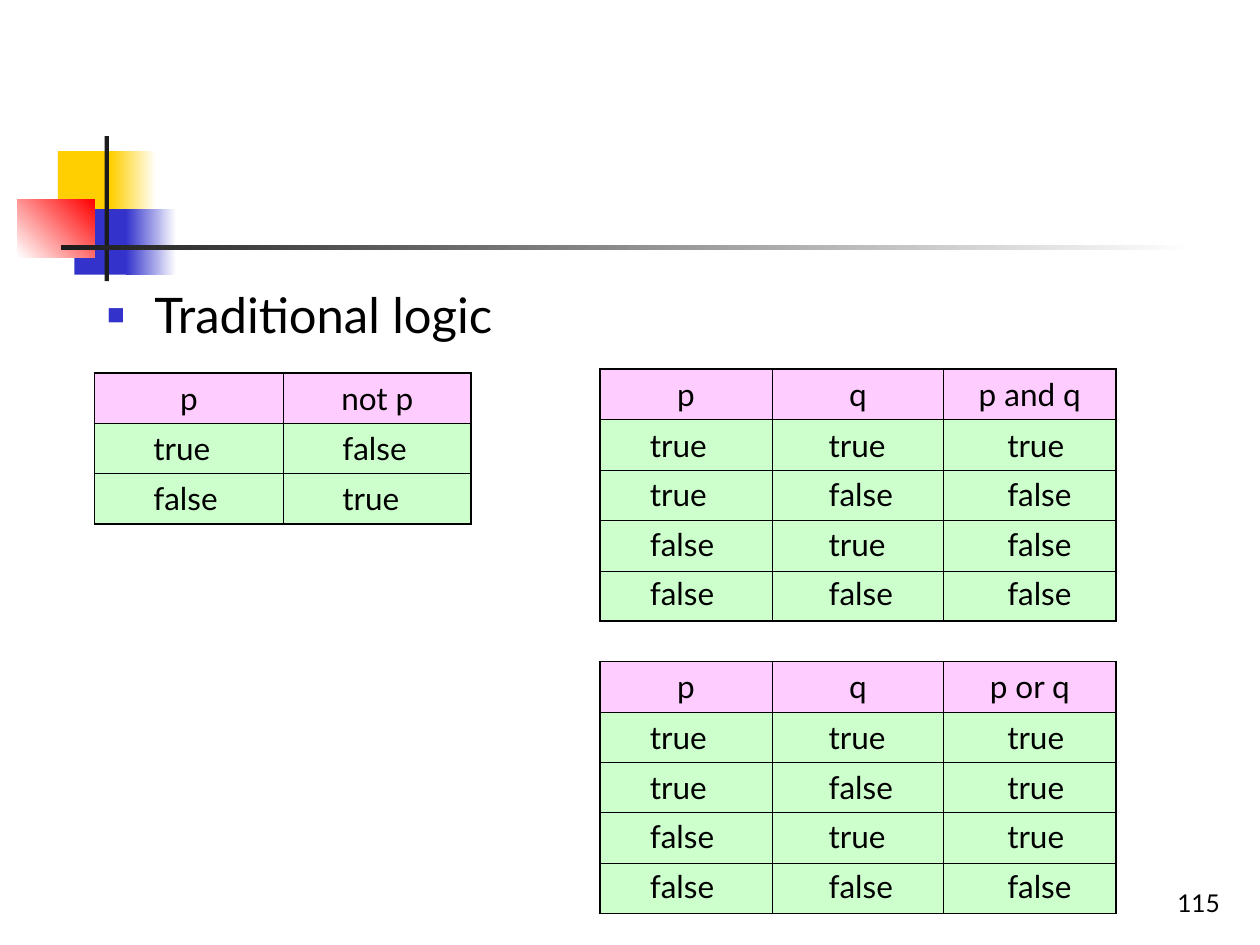
from lxml.etree import SubElement
from pptx import Presentation
from pptx.dml.color import RGBColor
from pptx.enum.shapes import MSO_SHAPE
from pptx.enum.text import MSO_ANCHOR, MSO_AUTO_SIZE, PP_ALIGN
from pptx.oxml.ns import qn
from pptx.util import Pt

HUES = {
    "black": "000000", "white": "FFFFFF", "gold": "FFCF01", "blue": "3333CC",
    "red": "FF0000", "dark": "1C1C1C", "pink": "FFCCFF", "green": "CCFFCC",
}
FONT = "Lato"
THICK, THIN = 1.08, 0.45
ROW, STEP = 28.8, 28.3

TOPIC = "Traditional logic"
PAGE = "115"
BLOCKS = [
    (33.1, 86.4, 34.6, 37.4, ("gold",), 0),
    (63.4, 86.4, 25.9, 37.4, ("gold", "white"), 0),
    (42.5, 119.5, 33.1, 37.4, ("blue",), 0),
    (72, 119.5, 28.8, 37.4, ("blue", "white"), 0),
    (10.1, 113.8, 43.9, 33.1, ("white", "red"), 45),
    (59.8, 77.8, 2.5, 82.8, ("dark",), 0),
    (34.6, 140.2, 648, 2.5, ("dark", "white"), 0),
]
TABLES = [
    {"left": 54, "top": 213.1, "cols": [108, 107.3], "inset": 26.6, "pitch": 108,
     "head": ["p", "not p"],
     "rows": [["true", "false"], ["false", "true"]]},
    {"left": 342.7, "top": 211, "cols": [98.6, 97.9, 98.6], "inset": 21.6, "pitch": 102.1,
     "head": ["p", "q", "p and q"],
     "rows": [["true", "true", "true"], ["true", "false", "false"],
              ["false", "true", "false"], ["false", "false", "false"]]},
    {"left": 342.7, "top": 378, "cols": [98.6, 97.9, 98.6], "inset": 21.6, "pitch": 102.1,
     "head": ["p", "q", "p or q"],
     "rows": [["true", "true", "true"], ["true", "false", "true"],
              ["false", "true", "true"], ["false", "false", "false"]]},
]


def hue(name):
    """Return the named colour."""
    return RGBColor.from_string(HUES[name])


def put(frame, text, size=18, align=PP_ALIGN.LEFT):
    """Write one formatted paragraph into a text frame."""
    para = frame.paragraphs[0]
    para.alignment = align
    para.space_before = Pt(0)
    run = para.add_run()
    run.text = text
    run.font.name = FONT
    run.font.size = Pt(size)
    run.font.color.rgb = hue("black")


def block(slide, left, top, wide, high, tones, angle):
    """Draw a plain or fading rectangle."""
    shape = slide.shapes.add_shape(
        MSO_SHAPE.RECTANGLE, Pt(left), Pt(top), Pt(wide), Pt(high))
    shape.shadow.inherit = False
    shape.line.fill.background()
    if len(tones) == 1:
        shape.fill.solid()
        shape.fill.fore_color.rgb = hue(tones[0])
        return
    shape.fill.gradient()
    shape.fill.gradient_angle = angle
    for stop, tone in zip(shape.fill.gradient_stops, tones):
        stop.color.rgb = hue(tone)


def box(slide, left, top, wide, high):
    """Add a text box and return its frame."""
    return slide.shapes.add_textbox(Pt(left), Pt(top), Pt(wide), Pt(high)).text_frame


def edge(cell, sides):
    """Set the border widths of a cell."""
    props = cell._tc.get_or_add_tcPr()
    for side, thick in sides.items():
        line = SubElement(props, qn("a:ln" + side), w=str(Pt(THICK if thick else THIN)))
        fill = SubElement(line, qn("a:solidFill"))
        SubElement(fill, qn("a:srgbClr"), val=HUES["black"])


def truth(slide, left, top, cols, inset, pitch, head, rows):
    """Draw a truth table with its values set over the cells."""
    count, wide = len(rows) + 1, len(cols)
    grid = slide.shapes.add_table(
        count, wide, Pt(left), Pt(top), Pt(sum(cols)), Pt(ROW * count)).table
    grid.first_row = grid.horz_banding = False
    for col, size in zip(grid.columns, cols):
        col.width = Pt(size)
    for r in range(count):
        grid.rows[r].height = Pt(ROW)
        for c in range(wide):
            cell = grid.cell(r, c)
            edge(cell, {"L": c == 0, "R": c == wide - 1, "T": r == 0, "B": r == count - 1})
            cell.fill.solid()
            cell.fill.fore_color.rgb = hue("green" if r else "pink")
            cell.margin_top = cell.margin_bottom = Pt(0 if r else 3.6)
            if r == 0:
                put(cell.text_frame, head[c], align=PP_ALIGN.CENTER)
    for r, row in enumerate(rows):
        for c, word in enumerate(row):
            frame = box(slide, left + inset + c * pitch, top + ROW + r * STEP,
                        49.7 if word == "true" else 54, ROW)
            frame.word_wrap = False
            frame.auto_size = MSO_AUTO_SIZE.SHAPE_TO_FIT_TEXT
            put(frame, word)


def topic(slide):
    """Fill the body placeholder with its bulleted line."""
    body = slide.placeholders[1]
    body.left, body.top, body.width, body.height = Pt(54), Pt(159.1), Pt(267.1), Pt(43.2)
    frame = body.text_frame
    frame.auto_size = MSO_AUTO_SIZE.NONE
    props = frame.paragraphs[0]._p.get_or_add_pPr()
    props.set("marL", str(Pt(27)))
    props.set("indent", str(-Pt(27)))
    tint = SubElement(props, qn("a:buClr"))
    SubElement(tint, qn("a:srgbClr"), val=HUES["blue"])
    SubElement(props, qn("a:buSzPct"), val="60000")
    SubElement(props, qn("a:buChar"), char="■")
    put(frame, TOPIC, size=28)


def main():
    """Build and save the slide."""
    deck = Presentation()
    deck.slide_width, deck.slide_height = Pt(720), Pt(540)
    slide = deck.slides.add_slide(deck.slide_layouts[1])
    title = slide.shapes.title.element
    title.getparent().remove(title)
    for item in BLOCKS:
        block(slide, *item)
    page = box(slide, 554.4, 491.8, 149.8, 36)
    page.word_wrap = True
    page.vertical_anchor = MSO_ANCHOR.BOTTOM
    put(page, PAGE, size=14, align=PP_ALIGN.RIGHT)
    topic(slide)
    for item in TABLES:
        truth(slide, **item)
    deck.save("out.pptx")


if __name__ == "__main__":
    main()
